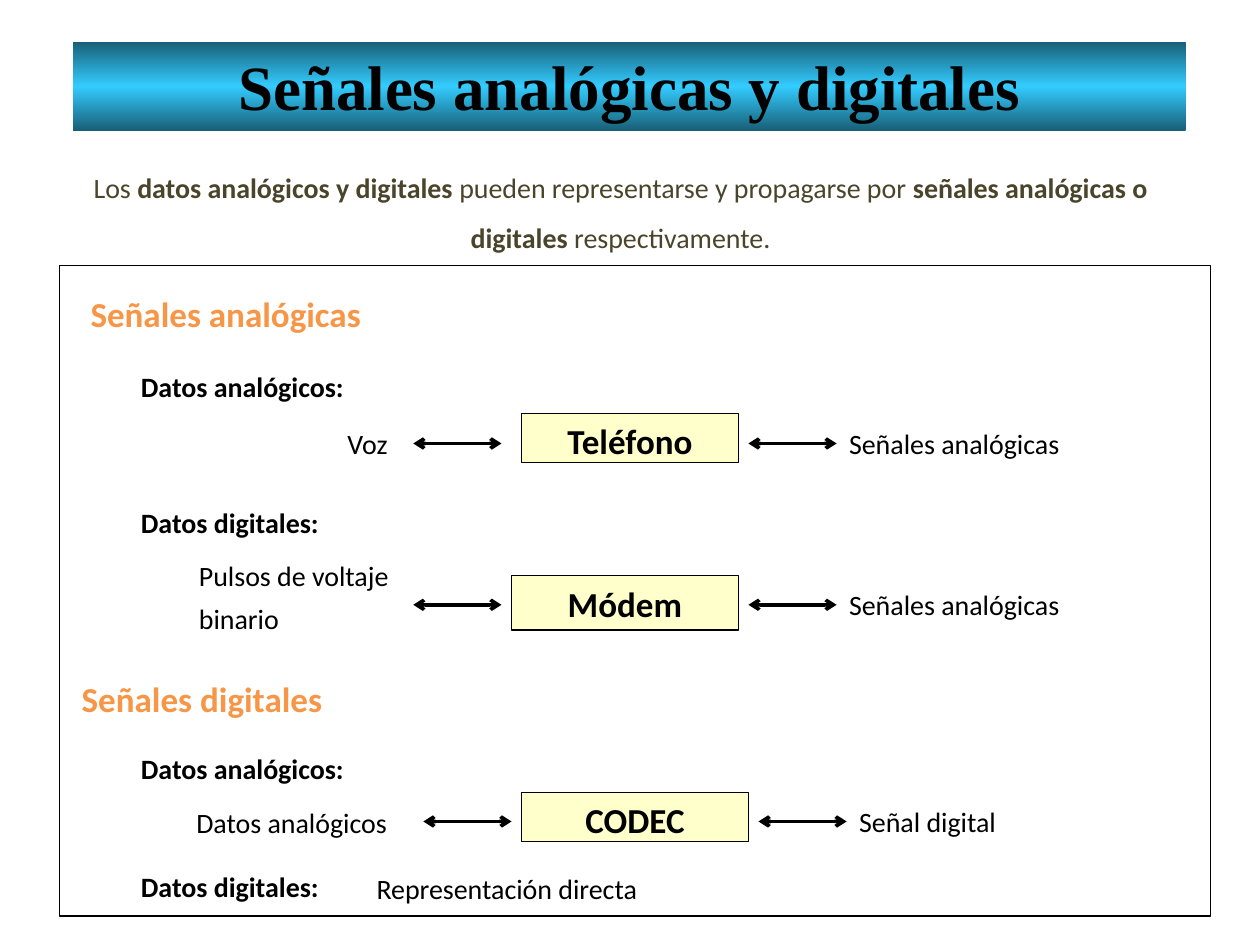
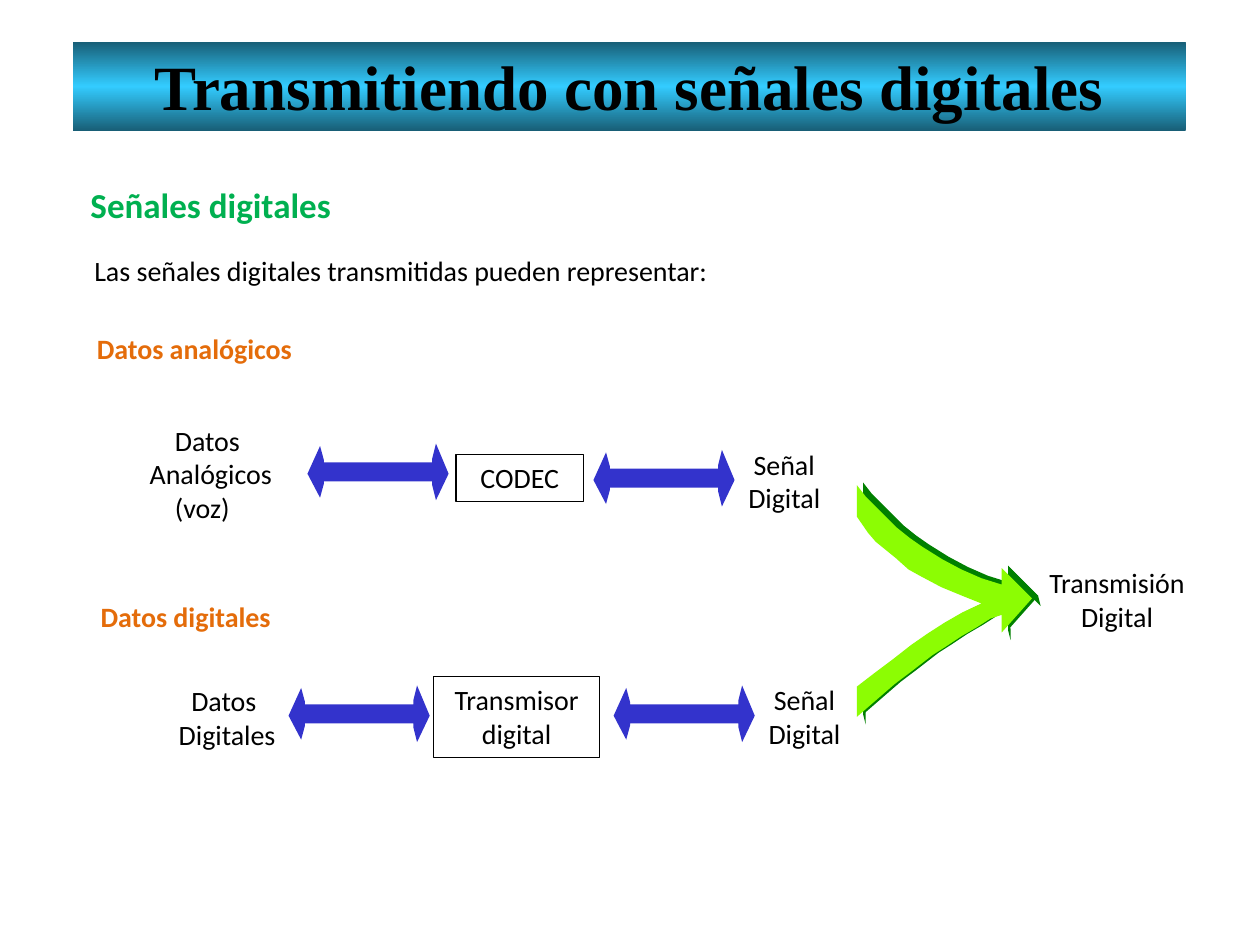
import copy

import pptx
import pptx.dml.color
import pptx.enum.shapes
import pptx.enum.text
import pptx.oxml
import pptx.oxml.ns
import pptx.util
from pptx.dml.color import RGBColor
from pptx.util import Inches

BLACK = RGBColor(0x00, 0x00, 0x00)
OLIVE = RGBColor(0x4A, 0x45, 0x2A)
ORANGE = RGBColor(0xF7, 0x96, 0x46)
DARK_ORANGE = RGBColor(0xE4, 0x6C, 0x0A)
HEADING_GREEN = RGBColor(0x00, 0xB0, 0x50)
CREAM = RGBColor(0xFF, 0xFF, 0xCC)
BLUE = RGBColor(0x33, 0x33, 0xCC)
LIME = RGBColor(0x8C, 0xFD, 0x03)
DARK_GREEN = RGBColor(0x00, 0x80, 0x00)
BAND_EDGE = RGBColor(0x18, 0x5E, 0x76)
BAND_MIDDLE = RGBColor(0x33, 0xCC, 0xFF)
CENTER = pptx.enum.text.PP_ALIGN.CENTER
LEFT = pptx.enum.text.PP_ALIGN.LEFT
RECTANGLE = pptx.enum.shapes.MSO_SHAPE.RECTANGLE


def add_text(slide, box, text, size=16, bold=None, color=BLACK, align=LEFT,
             spacing=None, indents=(), font="Calibri", framed=False, fill=None):
    """Add a text box, or a black-framed rectangle, with one paragraph per line."""
    place = [Inches(length) for length in box]
    if framed:
        shape = slide.shapes.add_shape(RECTANGLE, *place)
        shape.shadow.inherit = False
        shape.line.color.rgb = BLACK
        shape.line.width = pptx.util.Pt(0.75)
        if fill is None:
            shape.fill.background()
        else:
            shape.fill.solid()
            shape.fill.fore_color.rgb = fill
    else:
        shape = slide.shapes.add_textbox(*place)
    frame = shape.text_frame
    frame.word_wrap = True
    frame.vertical_anchor = pptx.enum.text.MSO_ANCHOR.TOP
    frame.text = text
    for paragraph in frame.paragraphs:
        paragraph.alignment = align
        paragraph.line_spacing = spacing
        paragraph.font.name = font
        paragraph.font.size = pptx.util.Pt(size)
        paragraph.font.bold = bold
        paragraph.font.color.rgb = color
    for paragraph, indent in zip(frame.paragraphs, indents):
        paragraph._p.get_or_add_pPr().set("marL", str(Inches(indent)))
    return shape


def add_outline(slide, points, color, dx=0, dy=0):
    """Add a filled closed outline, moved by dx and dy inches."""
    corners = [(Inches(x + dx), Inches(y + dy)) for x, y in points]
    builder = slide.shapes.build_freeform(*corners[0])
    builder.add_line_segments(corners[1:], close=True)
    shape = builder.convert_to_shape()
    shape.shadow.inherit = False
    shape.fill.solid()
    shape.fill.fore_color.rgb = color
    shape.line.fill.background()


presentation = pptx.Presentation()
presentation.slide_width = Inches(10)
presentation.slide_height = Inches(7.5)

# Title bands
slides = []
for title in ("Señales analógicas y digitales", "Transmitiendo con señales digitales"):
    slide = presentation.slides.add_slide(presentation.slide_layouts[6])
    band = add_text(slide, (0.58, 0.33, 8.83, 0.71), title, 36, True, align=CENTER,
                    font="Times New Roman", framed=True)
    band.line.fill.background()
    band.fill.gradient()
    band.fill.gradient_angle = 90
    stop_list = band._element.spPr.find(".//" + pptx.oxml.ns.qn("a:gsLst"))
    stop_list.insert(1, copy.deepcopy(stop_list[0]))
    band_stops = ((0, BAND_EDGE), (0.5, BAND_MIDDLE), (1, BAND_EDGE))
    for stop, (position, color) in zip(band.fill.gradient_stops, band_stops):
        stop.position = position
        stop.color.rgb = color
    slides.append(slide)
signals_slide, transmission_slide = slides

# Slide 1: introduction
intro = add_text(signals_slide, (0.55, 1.17, 8.75, 0.86), "", color=OLIVE,
                 align=CENTER, spacing=1.5)
for text, bold in (
    ("Los ", False),
    ("datos analógicos y digitales ", True),
    ("pueden representarse y propagarse por ", False),
    ("señales analógicas o digitales", True),
    (" respectivamente.", False),
):
    run = intro.text_frame.paragraphs[0].add_run()
    run.text = text
    run.font.bold = bold

# Slide 1: panel, section headings and data labels
add_text(signals_slide, (0.47, 2.11, 9.14, 5.16), "", framed=True)
for left, top, text in ((0.62, 2.11, "Señales analógicas"), (0.55, 5.16, "Señales digitales")):
    add_text(signals_slide, (left, top, 2.89, 0.6), text, 20, True, ORANGE, spacing=1.5)
for top, text in (
    (2.75, "Datos analógicos:"),
    (3.83, "Datos digitales:"),
    (5.78, "Datos analógicos:"),
    (6.72, "Datos digitales:"),
):
    add_text(signals_slide, (1.02, top, 2.89, 0.5), text, bold=True, spacing=1.5)
add_text(signals_slide, (2.89, 6.79, 2.73, 0.45), "Representación directa",
         spacing=pptx.util.Pt(25))

# Slide 1: input <-> device <-> output
DEVICE_ROWS = (
    ("Voz", (2.66, 3.2, 0.86, 0.51), 1.5,
     "Teléfono", (4.14, 3.28, 1.72, 0.39), "Señales analógicas", 3.28, 3.52),
    ("Pulsos de voltaje binario", (1.48, 4.3, 2.11, 0.8), pptx.util.Pt(25),
     "Módem", (4.06, 4.57, 1.8, 0.43), "Señales analógicas", 3.28, 4.8),
    ("Datos analógicos", (1.46, 6.21, 2.11, 0.45), 1.5,
     "CODEC", (4.14, 6.29, 1.8, 0.39), "Señal digital", 3.36, 6.52),
)
ARROW_LENGTH = 0.7
for source, source_box, spacing, device, device_box, output, arrow_left, middle in DEVICE_ROWS:
    add_text(signals_slide, source_box, source, spacing=spacing)
    add_text(signals_slide, device_box, device, 20, True, align=CENTER, framed=True, fill=CREAM)
    output_arrow_left = device_box[0] + device_box[2] + 0.08
    output_left = output_arrow_left + ARROW_LENGTH
    add_text(signals_slide, (output_left, middle - 0.32, 2.19, 0.51), output, spacing=1.5)
    for left in (arrow_left, output_arrow_left):
        connector = signals_slide.shapes.add_connector(
            pptx.enum.shapes.MSO_CONNECTOR.STRAIGHT, Inches(left), Inches(middle),
            Inches(left + ARROW_LENGTH), Inches(middle))
        connector.line.color.rgb = BLACK
        connector.line.width = pptx.util.Pt(2)
        line = connector.line._get_or_add_ln()
        for end in ("a:headEnd", "a:tailEnd"):
            line.append(pptx.oxml.parse_xml(
                f'<{end} {pptx.oxml.ns.nsdecls("a")} type="arrow"/>'))
        connector._element.spPr.append(pptx.oxml.parse_xml(
            f'<a:effectLst {pptx.oxml.ns.nsdecls("a")}/>'))

# Slide 2: headings
add_text(transmission_slide, (0.62, 1.41, 2.83, 0.44), "Señales digitales", 20, True,
         HEADING_GREEN)
add_text(transmission_slide, (0.55, 1.95, 8.98, 0.38),
         "Las señales digitales transmitidas pueden representar:",
         spacing=pptx.util.Pt(20), indents=(0.1,))
add_text(transmission_slide, (0.67, 2.58, 2.06, 0.37), "Datos analógicos", 16, True, DARK_ORANGE)
add_text(transmission_slide, (0.7, 4.71, 1.8, 0.37), "Datos digitales", 16, True, DARK_ORANGE)

# Slide 2: merging arrow, with its shaded side
MERGING_ARROW = (
    (6.8, 5.69), (6.8, 5.45), (6.93, 5.35), (7.09, 5.23), (7.23, 5.12), (7.36, 5.03),
    (7.5, 4.94), (7.64, 4.86), (7.79, 4.79), (7.64, 4.73), (7.47, 4.66), (7.3, 4.57),
    (7.21, 4.52), (7.11, 4.43), (6.95, 4.3), (6.89, 4.23), (6.8, 4.1), (6.8, 3.85),
    (6.87, 3.94), (6.96, 4.03), (7.12, 4.19), (7.22, 4.27), (7.32, 4.34), (7.48, 4.44),
    (7.63, 4.52), (7.79, 4.59), (7.95, 4.64), (7.95, 4.51), (8.19, 4.75), (7.95, 5.02),
    (7.95, 4.88), (7.86, 4.91), (7.75, 4.98), (7.63, 5.05), (7.51, 5.13), (7.4, 5.2),
    (7.22, 5.34), (7.1, 5.43), (6.95, 5.56),
)
SHADED_EDGES = (
    ((7.95, 4.64), (7.95, 4.51)),
    ((8.19, 4.75), (7.95, 4.51)),
    ((7.95, 5.02), (7.95, 4.93)),
    ((6.8, 4.1), (6.8, 3.85)),
    ((6.8, 5.69), (6.8, 5.45)),
)
add_outline(transmission_slide, MERGING_ARROW, DARK_GREEN, 0.05, -0.02)
for start, end in SHADED_EDGES:
    side = [start, end] + [(x + 0.02, y + 0.08) for x, y in (end, start)]
    add_outline(transmission_slide, side, DARK_GREEN, 0.05, -0.02)
add_text(transmission_slide, (7.89, 4.44, 1.95, 0.64), "Transmisión\nDigital", align=CENTER)
add_outline(transmission_slide, MERGING_ARROW, LIME)

# Slide 2: data <-> converter <-> signal
DOUBLE_ARROW = (
    (0, 0.24), (0.1, 0.02), (0.13, 0.13), (0.13, 0.15), (0.99, 0.15), (0.99, 0.12),
    (1.02, 0), (1.12, 0.24), (1.02, 0.45), (0.99, 0.33), (0.99, 0.3), (0.13, 0.3),
    (0.13, 0.32), (0.1, 0.43),
)
CONVERTER_ROWS = (
    ("Datos\nAnalógicos\n(voz)", (1.09, 3.31, 1.3, 0.91), (0.2, 0, 0.2),
     "CODEC", (3.62, 3.61, 1.01, 0.37), (5.81, 3.5), ((2.44, 3.52), (4.71, 3.57))),
    ("Datos\nDigitales", (1.17, 5.38, 1.25, 0.64), (0.25, 0.15),
     "Transmisor\ndigital", (3.44, 5.37, 1.32, 0.64), (5.97, 5.37), ((2.29, 5.44), (4.87, 5.44))),
)
for data, data_box, indents, converter, converter_box, signal_corner, arrows in CONVERTER_ROWS:
    add_text(transmission_slide, data_box, data, indents=indents)
    add_text(transmission_slide, converter_box, converter, align=CENTER, framed=True)
    add_text(transmission_slide, (*signal_corner, 0.83, 0.64), "Señal\nDigital", align=CENTER)
    for left, top in arrows:
        add_outline(transmission_slide, DOUBLE_ARROW, BLUE, left, top)

presentation.save("out.pptx")
